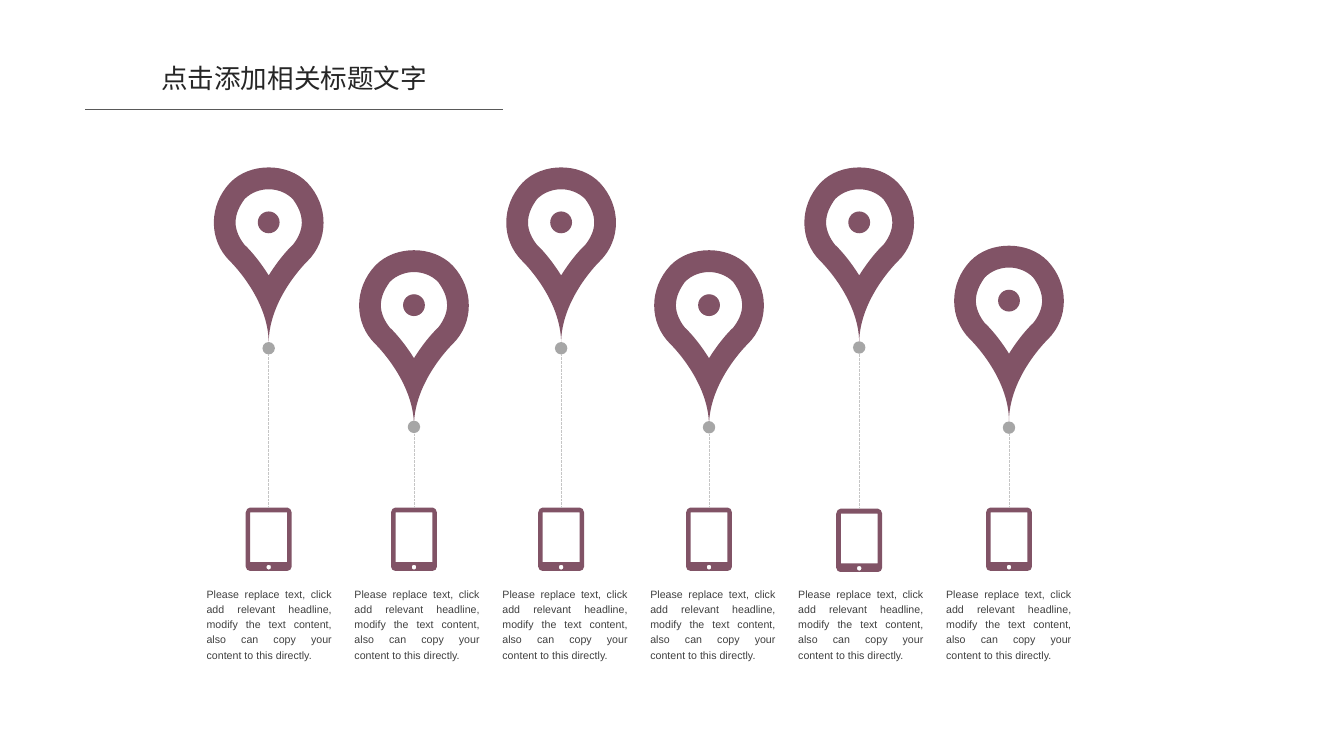
"""Build a slide of six map pins, each linked to a tablet and a caption."""
from lxml.etree import SubElement
from pptx import Presentation
from pptx.dml.color import RGBColor
from pptx.enum.dml import MSO_LINE
from pptx.enum.shapes import MSO_CONNECTOR, MSO_SHAPE
from pptx.enum.text import MSO_ANCHOR, MSO_AUTO_SIZE, PP_ALIGN
from pptx.oxml.ns import qn
from pptx.util import Cm, Pt

TITLE = "点击添加相关标题文字"
CAPTION = ("Please replace text, click add relevant headline, modify the text content, "
           "also can copy your content to this directly.")
COLUMNS = [
    {"center": 7.14, "pin": 4.45, "knob": 9.09, "tablet": 13.49},
    {"center": 11.0, "pin": 6.65, "knob": 11.18, "tablet": 13.49},
    {"center": 14.91, "pin": 4.45, "knob": 9.09, "tablet": 13.49},
    {"center": 18.84, "pin": 6.65, "knob": 11.19, "tablet": 13.49},
    {"center": 22.83, "pin": 4.45, "knob": 9.07, "tablet": 13.52},
    {"center": 26.81, "pin": 6.53, "knob": 11.2, "tablet": 13.49},
]
PLUM, GRAY, DOTTED, RULE = "815366", "A6A6A6", "C5C5C5", "595959"
CAPTION_LEFT, CAPTION_STEP, CAPTION_TOP = 5.49, 3.93, 15.55
KNOB, EYE, EYE_TOP = 0.33, 0.58, 1.17

# Right halves of symmetric contours: 2 numbers draw a line, 6 a curve.
PIN = [
    [(0, 0), (0.38, 0, 0.76, 0.13, 1.03, 0.41), (1.6, 1.02, 1.6, 1.93, 1.03, 2.49),
     (1.03, 2.49, 0, 3.48, 0, 4.67)],
    [(0, 0.58), (0.22, 0.58, 0.46, 0.66, 0.64, 0.84), (0.77, 1.02, 0.88, 1.22, 0.88, 1.47),
     (0.88, 1.68, 0.77, 1.9, 0.64, 2.06), (0.58, 2.11, 0.3, 2.39, 0, 2.87)],
]
TABLET = [
    [(0, 0), (0.5, 0), (0.55, 0, 0.61, 0.06, 0.61, 0.13), (0.61, 1.57),
     (0.61, 1.64, 0.55, 1.68, 0.5, 1.68), (0, 1.68)],
    [(0, 0.13), (0.49, 0.13), (0.49, 1.45), (0, 1.45)],
    [(0, 1.52), (0.05, 1.52, 0.06, 1.55, 0.06, 1.58), (0.06, 1.61, 0.05, 1.65, 0, 1.65)],
]


def color(value):
    return RGBColor.from_string(value)


def full_contour(half):
    points = [half[0]]
    for segment in half[1:]:
        if len(segment) == 2:
            points += [points[-1], segment, segment]
        else:
            points += [segment[:2], segment[2:4], segment[4:]]
    points += [(-x, y) for x, y in reversed(points[:-1])]
    return [(Cm(x), Cm(y)) for x, y in points]


def bend_lines(shape):
    lines = list(shape._element.iter(qn("a:lnTo")))
    for curve, *others in zip(lines[::3], lines[1::3], lines[2::3]):
        curve.tag = qn("a:cubicBezTo")
        for line in others:
            curve.append(line[0])
            line.getparent().remove(line)


def paint(shape, fill):
    shape.shadow.inherit = False
    shape.fill.solid()
    shape.fill.fore_color.rgb = color(fill)
    shape.line.fill.background()


def add_outline(slide, halves, center, top):
    contours = [full_contour(half) for half in halves]
    builder = slide.shapes.build_freeform(*contours[0][0])
    for number, contour in enumerate(contours):
        if number:
            builder.move_to(*contour[0])
        builder.add_line_segments(contour[1:], close=True)
    shape = builder.convert_to_shape(Cm(center), Cm(top))
    bend_lines(shape)
    paint(shape, PLUM)


def add_circle(slide, center, top, size, fill):
    paint(slide.shapes.add_shape(MSO_SHAPE.OVAL, Cm(center - size / 2), Cm(top),
                                 Cm(size), Cm(size)), fill)


def add_line(slide, start, end, line_color, dash=None):
    line = slide.shapes.add_connector(MSO_CONNECTOR.STRAIGHT, *map(Cm, start + end))
    line.line.color.rgb = color(line_color)
    line.line.width = Pt(0.5)
    if dash:
        line.line.dash_style = dash
    SubElement(line._element.spPr, qn("a:effectLst"))


def write_text(shape, text, *, size, font_color, align, spacing=1.0, after=0,
               anchor=MSO_ANCHOR.TOP):
    frame = shape.text_frame
    frame.word_wrap = True
    frame.auto_size = MSO_AUTO_SIZE.NONE
    frame.vertical_anchor = anchor
    frame.margin_left = frame.margin_right = frame.margin_top = frame.margin_bottom = 0
    paragraph = frame.paragraphs[0]
    paragraph.alignment = align
    paragraph.line_spacing = spacing
    paragraph.space_after = Pt(after)
    run = paragraph.add_run()
    run.text = text
    run.font.name = "Arial"
    run.font.size = Pt(size)
    run.font.color.rgb = color(font_color)


def add_column(slide, index, center, pin, knob, tablet):
    caption = slide.shapes.add_textbox(Cm(CAPTION_LEFT + index * CAPTION_STEP),
                                       Cm(CAPTION_TOP), Cm(3.33), Cm(2.06))
    write_text(caption, CAPTION, size=8, font_color="404040",
               align=PP_ALIGN.JUSTIFY, spacing=1.2)
    add_outline(slide, PIN, center, pin)
    add_circle(slide, center, pin + EYE_TOP, EYE, PLUM)
    add_outline(slide, TABLET, center, tablet)
    add_circle(slide, center, knob, KNOB, GRAY)
    add_line(slide, (center, tablet), (center, knob + KNOB), DOTTED, MSO_LINE.ROUND_DOT)


def main():
    presentation = Presentation()
    presentation.slide_width, presentation.slide_height = Cm(35.71), Cm(20.09)
    slide = presentation.slides.add_slide(presentation.slide_layouts[5])
    title = slide.shapes.title
    title.left, title.top, title.width, title.height = map(Cm, (3.56, 1.65, 8.51, 0.86))
    write_text(title, TITLE, size=20, font_color="262626", align=PP_ALIGN.CENTER,
               after=6, anchor=MSO_ANCHOR.MIDDLE)
    add_line(slide, (2.26, 2.9), (13.36, 2.9), RULE)
    for index, column in enumerate(COLUMNS):
        add_column(slide, index, **column)
    presentation.save("out.pptx")


if __name__ == "__main__":
    main()
